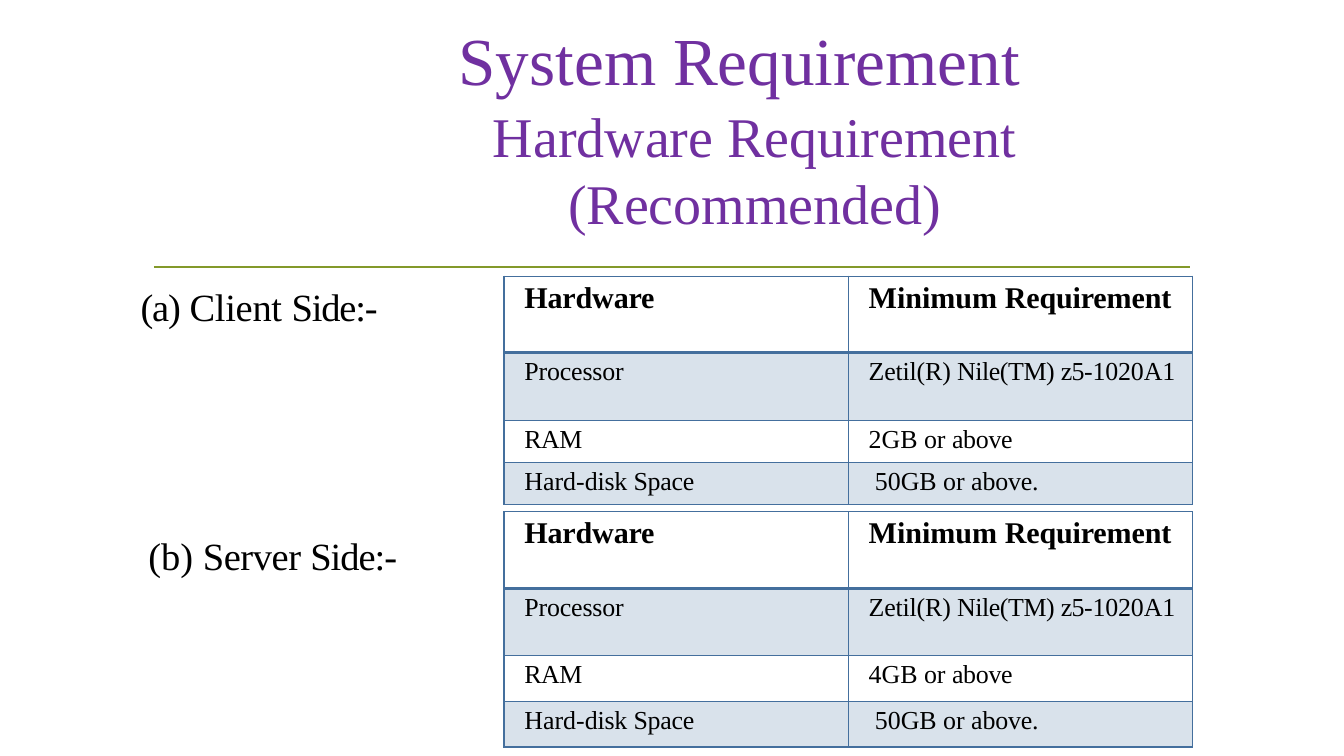
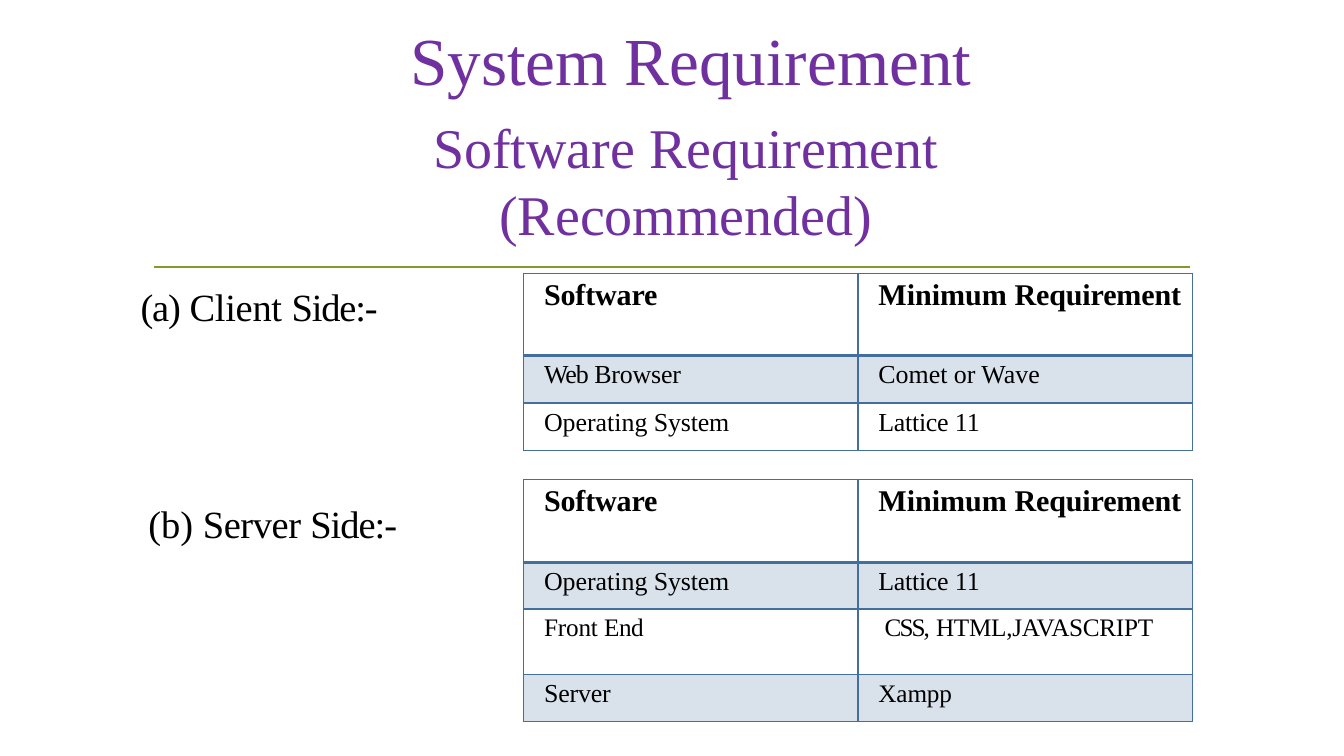
"""Build two slides of system requirements."""
from collections import namedtuple

from lxml.etree import SubElement as Sub
from pptx import Presentation
from pptx.dml.color import RGBColor as Rgb
from pptx.enum.shapes import MSO_CONNECTOR as Conn
from pptx.enum.text import MSO_ANCHOR as Anchor, MSO_AUTO_SIZE as Auto, PP_ALIGN as Align
from pptx.oxml.ns import qn
from pptx.util import Pt

HUES = {"head": "7030A0", "text": "000000", "rule": "83992A", "grid": "446F9D"}
Cell = namedtuple("Cell", "runs size shift", defaults=(18.5, 0))


class Deck:
    FONT = "Times New Roman"
    RIGHT = 851.8
    THIN, THICK = 0.96, 2.21

    def __init__(self):
        self.prs = Presentation()
        self.prs.slide_width, self.prs.slide_height = Pt(960), Pt(540)
        self.slide = None

    def add(self, title, left):
        self.slide = self.prs.slides.add_slide(self.prs.slide_layouts[5])
        box = self.slide.shapes.title
        box.left, box.top, box.width, box.height = Pt(left), Pt(9.4), Pt(459), Pt(64)
        self.fill(box.text_frame, [(title, 0)], 48, "head")
        self.rule()

    def runs(self, para, runs, size, hue, bold=False):
        for text, gap in runs:
            run = para.add_run()
            run.text = text
            font = run.font
            font.name, font.size, font.bold = self.FONT, Pt(size), bold
            font.color.rgb = Rgb.from_string(HUES[hue])
            if gap:
                run._r.get_or_add_rPr().set("spc", str(round(gap * 100)))

    def fill(self, frame, runs, size, hue, align=Align.LEFT):
        frame.word_wrap = True
        frame.auto_size = Auto.NONE
        frame.vertical_anchor = Anchor.TOP
        para = frame.paragraphs[0]
        para.alignment = align
        self.runs(para, runs, size, hue)

    def rule(self):
        line = self.slide.shapes.add_connector(
            Conn.STRAIGHT, Pt(110), Pt(190.8), Pt(850), Pt(190.8))
        line.line.color.rgb = Rgb.from_string(HUES["rule"])
        line.line.width = Pt(1.25)
        Sub(line._element.spPr, qn("a:effectLst"))

    def sub(self, text, left, top):
        box = self.slide.shapes.add_textbox(Pt(left), Pt(top), Pt(480), Pt(103))
        self.fill(box.text_frame, [(text, 0)], 40, "head", Align.CENTER)

    def label(self, runs, left, top):
        box = self.slide.shapes.add_textbox(Pt(left), Pt(top), Pt(250), Pt(38))
        frame = box.text_frame
        frame.margin_left, frame.margin_top = Pt(1), Pt(3)
        frame.margin_right = frame.margin_bottom = 0
        self.fill(frame, runs, 27.5, "text")

    def edge(self, props, side, width):
        line = Sub(props, qn(f"a:ln{side}"), w=str(Pt(width)))
        Sub(Sub(line, qn("a:solidFill")), qn("a:srgbClr"), val=HUES["grid"])

    def table(self, left, top, highs, rows):
        frame = self.slide.shapes.add_table(
            len(rows), 2, Pt(left), Pt(top), Pt(self.RIGHT - left), Pt(sum(highs)))
        grid = frame.table
        grid.horz_banding = False
        for r, (high, row) in enumerate(zip(highs, rows)):
            grid.rows[r].height = Pt(high)
            for c, item in enumerate(row):
                self.cell(grid.cell(r, c), item, r)

    def cell(self, cell, item, r):
        cell.margin_left = Pt(14.6 + item.shift)
        props = cell._tc.get_or_add_tcPr()
        thick = {(0, "B"), (1, "T")}
        for side in "LRTB":
            self.edge(props, side, self.THICK if (r, side) in thick else self.THIN)
        if r % 2:
            cell.fill.solid()
            cell.fill.fore_color.rgb = Rgb.from_string(HUES["grid"])
            Sub(props.find(qn("a:solidFill"))[0], qn("a:alpha"), val="20000")
        else:
            cell.fill.background()
        self.runs(cell.text_frame.paragraphs[0], item.runs, item.size, "text", r == 0)


def top_row(name):
    return (Cell([(name, -0.1)], 21.5),
            Cell([("Minimum ", 0), ("Requirement", -0.1)], 21.5))


def hard_rows(ram):
    chip = [("Zetil(R) ", -0.1), ("Nile(TM) ", -0.3), ("z5-", -0.4), ("1020A1", -0.1)]
    disk = [("Hard-", 0), ("disk", -0.1), (" Space", -0.2)]
    return [
        top_row("Hardware"),
        (Cell([("Processor", -0.1)]), Cell(chip)),
        (Cell([("RAM", -0.3)]), Cell([(f"{ram} or ", 0), ("above", -0.2)])),
        (Cell(disk), Cell([("50GB or ", 0), ("above.", -0.1)], shift=4.5)),
    ]


def main():
    client = [("(a) ", -0.8), ("Client ", -0.2), ("Side:-", -0.8)]
    server = [("(b) ", 0), ("Server ", -0.3), ("Side:-", -0.7)]
    system = (Cell([("Operating ", 0), ("System", -0.1)]),
              Cell([("Lattice ", -0.2), ("11", 0)]))
    web = (Cell([("Web ", -0.7), ("Browser", -0.1)]), Cell([("Comet or Wave", 0)]))
    front = (Cell([("Front ", -0.1), ("End", -0.3)], 18),
             Cell([("CSS,", -1.4), (" HTML,JAVASCRIPT", -0.2)], 18, 4.5))
    host = (Cell([("Server", -0.1)]), Cell([("Xampp", -0.1)], 18))
    soft = top_row("Software")

    deck = Deck()
    deck.add("System Requirement", 320.4)
    deck.sub("Hardware Requirement (Recommended)", 299, 69)
    deck.label(client, 99.4, 199.4)
    deck.table(360, 197.3, (54.7, 48.2, 30.2, 30.2), hard_rows("2GB"))
    deck.label(server, 105, 377.3)
    deck.table(360, 365.5, (54.7, 48.2, 32.6, 32.6), hard_rows("4GB"))

    deck.add("System Requirement", 285.8)
    deck.sub("Software Requirement (Recommended)", 249.8, 77)
    deck.label(client, 99.4, 199.4)
    deck.table(374, 195.1, (59, 33.8, 33.8), [soft, web, system])
    deck.label(server, 105, 354.2)
    deck.table(374, 342.7, (59, 33.3, 47, 33.3), [soft, system, front, host])
    deck.prs.save("out.pptx")


if __name__ == "__main__":
    main()
